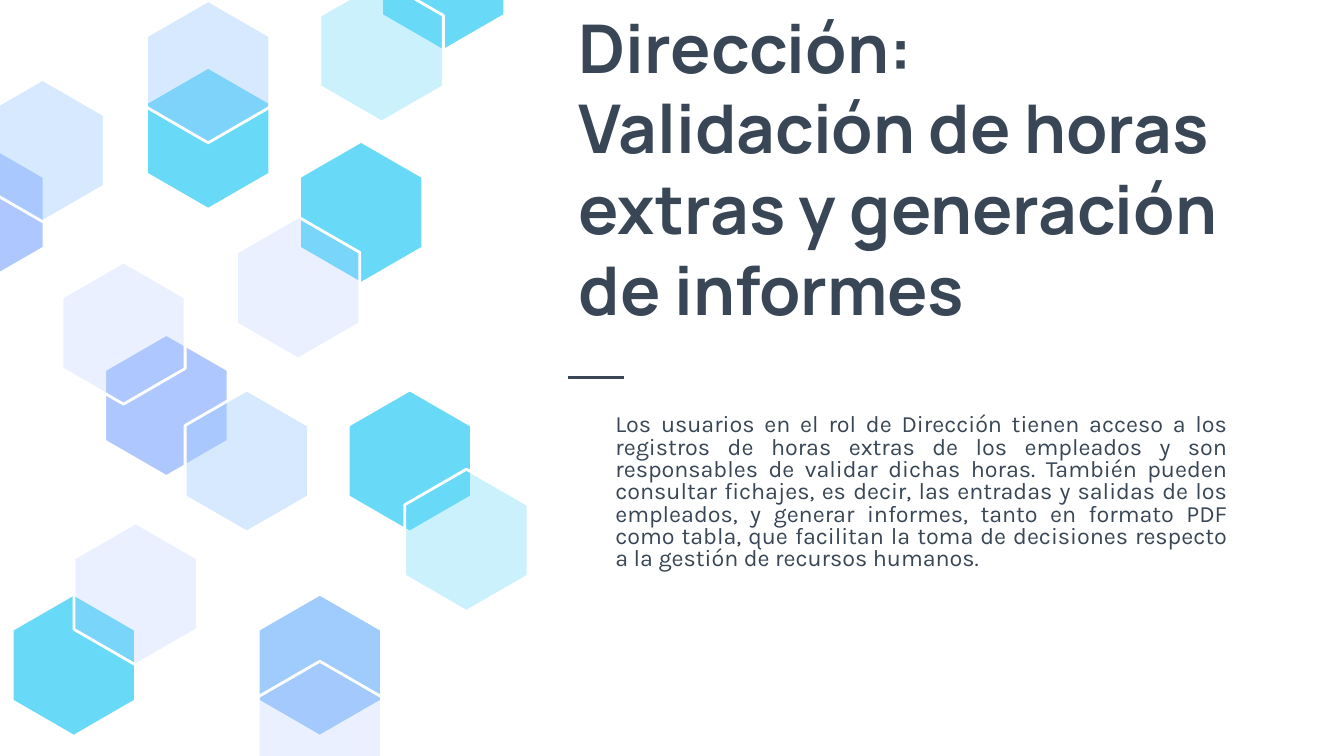
"""Builds the slide on the Dirección role: hexagon pattern, title and description."""
import pptx
import pptx.dml.color
import pptx.enum.shapes
import pptx.enum.text
import pptx.oxml.ns
import pptx.oxml.xmlchemy
import pptx.util
from lxml import etree

Cm = pptx.util.Cm
Pt = pptx.util.Pt
qn = pptx.oxml.ns.qn
ALIGN = pptx.enum.text.PP_ALIGN
ANCHOR = pptx.enum.text.MSO_ANCHOR

SLATE = pptx.dml.color.RGBColor(0x38, 0x46, 0x55)
WHITE = pptx.dml.color.RGBColor(0xFF, 0xFF, 0xFF)
CYAN = pptx.dml.color.RGBColor(0x68, 0xDA, 0xF8)
PERIWINKLE = pptx.dml.color.RGBColor(0xAF, 0xC7, 0xFF)
SKY = pptx.dml.color.RGBColor(0x9F, 0xCB, 0xFD)

HEX_WIDTH, HEX_HEIGHT = 2.33, 2.69
HEX_CORNERS = [(0.5, 0), (1, 0.25), (1, 0.75), (0.5, 1), (0, 0.75), (0, 0.25)]
HEXAGONS = [
    (0.23, 11.23, CYAN, 100),
    (2.77, 1.27, CYAN, 100),
    (5.66, 2.67, CYAN, 100),
    (-1.5, 2.67, PERIWINKLE, 100),
    (2.77, 0.01, SKY, 41),
    (1.98, 6.32, PERIWINKLE, 100),
    (1.17, 4.95, PERIWINKLE, 25),
    (4.47, 4.1, PERIWINKLE, 25),
    (7.21, -1.73, CYAN, 100),
    (3.5, 7.37, SKY, 41),
    (6.05, -0.38, CYAN, 34),
    (4.88, 11.23, SKY, 100),
    (6.58, 7.37, CYAN, 100),
    (1.4, 9.88, PERIWINKLE, 25),
    (4.88, 12.5, PERIWINKLE, 25),
    (-0.36, 1.5, SKY, 41),
    (7.65, 8.87, CYAN, 34),
]


def apply(target, values):
    for name, value in values.items():
        setattr(target, name, value)


presentation = pptx.Presentation()
apply(presentation, {"slide_width": Cm(25.4), "slide_height": Cm(14.29)})
slide = presentation.slides.add_slide(presentation.slide_layouts[0])
heading, description = slide.placeholders

TEXTS = [
    (
        heading,
        "Dirección: Validación de horas extras y generación de informes",
        {"left": Cm(10.69), "top": Cm(0.41), "width": Cm(12.98), "height": Cm(6.05)},
        ANCHOR.BOTTOM,
        {"alignment": ALIGN.LEFT},
        {"name": "Manrope", "size": Pt(36), "bold": True},
    ),
    (
        description,
        "Los usuarios en el rol de Dirección tienen acceso a los registros de horas "
        "extras de los empleados y son responsables de validar dichas horas. También "
        "pueden consultar fichajes, es decir, las entradas y salidas de los empleados, "
        "y generar informes, tanto en formato PDF como tabla, que facilitan la toma de "
        "decisiones respecto a la gestión de recursos humanos.",
        {"left": Cm(10.74), "top": Cm(7.59), "width": Cm(12.7), "height": Cm(4.14)},
        ANCHOR.TOP,
        {"alignment": ALIGN.JUSTIFY, "line_spacing": 0.8, "space_before": Pt(10)},
        {"name": "Karla", "size": Pt(12.5), "bold": False},
    ),
]
for placeholder, wording, place, anchor, paragraph_format, font_format in TEXTS:
    apply(placeholder, place)
    frame = placeholder.text_frame
    frame.text = wording
    apply(frame, {
        "word_wrap": True,
        "auto_size": pptx.enum.text.MSO_AUTO_SIZE.NONE,
        "vertical_anchor": anchor,
        "margin_left": Cm(0.25),
        "margin_right": Cm(0.25),
        "margin_top": Cm(0.25),
        "margin_bottom": Cm(0.25),
    })
    paragraph = frame.paragraphs[0]
    apply(paragraph, paragraph_format)
    font = paragraph.runs[0].font
    apply(font, font_format)
    font.color.rgb = SLATE

description_indent = description.text_frame.paragraphs[0]._p.get_or_add_pPr()
description_indent.set("marL", str(int(Cm(0.64))))
description_indent.set("indent", "0")

for left, top, color, opacity in HEXAGONS:
    corners = [
        (int(Cm(left + x * HEX_WIDTH)), int(Cm(top + y * HEX_HEIGHT)))
        for x, y in HEX_CORNERS
    ]
    outline = slide.shapes.build_freeform(*corners[0])
    outline.add_line_segments(corners[1:], close=True)
    hexagon = outline.convert_to_shape()
    hexagon.shadow.inherit = False
    hexagon.fill.solid()
    hexagon.fill.fore_color.rgb = color
    hexagon.line.color.rgb = WHITE
    hexagon.line.width = Pt(1.5)
    if opacity < 100:
        fill_color = hexagon._element.spPr.find(qn("a:solidFill"))[0]
        etree.SubElement(fill_color, qn("a:alpha")).set("val", str(opacity * 1000))

divider = slide.shapes.add_connector(
    pptx.enum.shapes.MSO_CONNECTOR.STRAIGHT, Cm(10.74), Cm(7.14), Cm(11.79), Cm(7.14)
)
divider.line.color.rgb = SLATE
divider.line.width = Pt(1.5)
etree.SubElement(divider._element.spPr, qn("a:effectLst"))

presentation.save("out.pptx")
